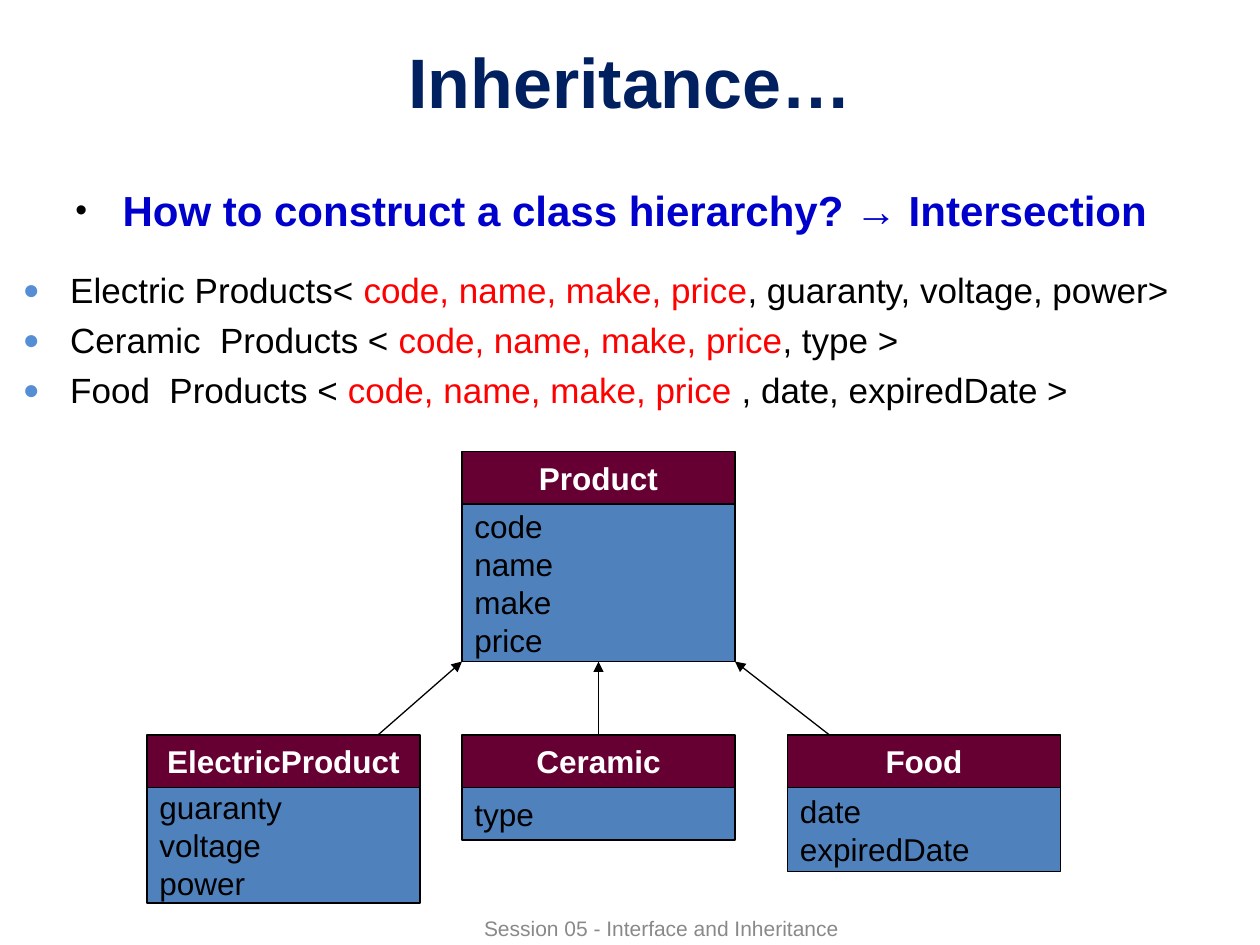
import pptx
import pptx.util
import pptx.dml.color
import pptx.enum.shapes
import pptx.enum.text
import pptx.oxml
from lxml import etree

PX = 7620  # 120 px to the inch
ALIGN = pptx.enum.text.PP_ALIGN
ANCHOR = pptx.enum.text.MSO_ANCHOR
NS = "http://schemas.openxmlformats.org/drawingml/2006/main"


def tint(code):
    return pptx.dml.color.RGBColor.from_string(code)


def write(frame, paras, size, align, anchor, bold=False, gap=0, mark=None):
    """Fill a frame; each paragraph is a list of (text, colour) runs."""
    frame.word_wrap = True
    frame.auto_size = pptx.enum.text.MSO_AUTO_SIZE.NONE
    frame.vertical_anchor = anchor
    for i, runs in enumerate(paras):
        para = frame.add_paragraph() if i else frame.paragraphs[0]
        para.alignment = align
        para.space_before = pptx.util.Pt(gap)
        for text, color in runs:
            run = para.add_run()
            run.text = text
            look = {"name": "Arial", "size": pptx.util.Pt(size), "bold": bold}
            for key, val in look.items():
                setattr(run.font, key, val)
            run.font.color.rgb = tint(color)
        if mark:
            char, hue = mark
            props = para._p.get_or_add_pPr()
            props.set("marL", str(45 * PX))
            props.set("indent", str(-45 * PX))
            color = etree.SubElement(props, f"{{{NS}}}buClr")
            etree.SubElement(color, f"{{{NS}}}srgbClr", val=hue)
            etree.SubElement(props, f"{{{NS}}}buSzPct", val="80000")
            etree.SubElement(props, f"{{{NS}}}buFont", typeface="Arial")
            etree.SubElement(props, f"{{{NS}}}buChar", char=char)


deck = pptx.Presentation()
deck.slide_width, deck.slide_height = 1200 * PX, 900 * PX
slide = deck.slides.add_slide(deck.slide_layouts[5])
shapes = slide.shapes

# Title
title = shapes.title
place = {"left": 60, "top": 30, "width": 1080, "height": 94}
for key, val in place.items():
    setattr(title, key, val * PX)
write(title.text_frame, [[("Inheritance…", "002060")]], 40,
      ALIGN.CENTER, ANCHOR.MIDDLE, bold=True)

# Question, product lists and footer
head = [[("How to construct a class hierarchy? → Intersection", "0000CC")]]
lists = [
    ("Electric Products< ", "code, name, make, price",
     ", guaranty, voltage, power>"),
    ("Ceramic  Products < ", "code, name, make, price", ", type >"),
    ("Food  Products <", " code, name, make, price",
     " , date, expiredDate >"),
]
items = [list(zip(row, ("000000", "FF0000", "000000"))) for row in lists]
foot = [[("Session 05 - Interface and Inheritance", "898989")]]
texts = [
    ((60, 170, 1080, 70), head, dict(
        size=24, align=ALIGN.JUSTIFY, anchor=ANCHOR.TOP, bold=True,
        gap=5.5, mark=("•", "000000"))),
    ((10, 250, 1170, 160), items, dict(
        size=20, align=ALIGN.LEFT, anchor=ANCHOR.TOP,
        gap=4.6, mark=("●", "558ED5"))),
    ((270, 868, 720, 32), foot, dict(
        size=12, align=ALIGN.CENTER, anchor=ANCHOR.MIDDLE)),
]
for spot, paras, style in texts:
    box = shapes.add_textbox(*(n * PX for n in spot))
    write(box.text_frame, paras, **style)

# Class boxes: a name bar above a field list
WIDE, BAR = 260, 50
kinds = [
    ("Product", 440, 430, 150, ["code", "name", "make", "price"]),
    ("ElectricProduct", 140, 700, 110, ["guaranty", "voltage", "power"]),
    ("Ceramic", 440, 700, 50, ["type"]),
    ("Food", 750, 700, 80, ["date", "expiredDate"]),
]
bars, bodies = {}, {}
for name, x, y, tall, fields in kinds:
    parts = [
        (bars, y, BAR, [name], "660033", "FFFFFF", ALIGN.CENTER, True),
        (bodies, y + BAR, tall, fields, "4F81BD", "000000", ALIGN.LEFT, False),
    ]
    for store, top, high, words, fill, ink, align, bold in parts:
        rect = shapes.add_shape(pptx.enum.shapes.MSO_SHAPE.RECTANGLE,
                                x * PX, top * PX, WIDE * PX, high * PX)
        rect.shadow.inherit = False
        rect.fill.solid()
        rect.fill.fore_color.rgb = tint(fill)
        rect.line.color.rgb = tint("000000")
        rect.line.width = pptx.util.Pt(0.75)
        write(rect.text_frame, [[(word, ink)] for word in words], 18,
              align, ANCHOR.MIDDLE, bold)
        store[name] = rect

# Arrows from each subclass up to Product
for name, start, end in [("ElectricProduct", 360, 440),
                         ("Ceramic", 570, 570), ("Food", 790, 700)]:
    line = shapes.add_connector(pptx.enum.shapes.MSO_CONNECTOR.STRAIGHT,
                                start * PX, 700 * PX, end * PX, 630 * PX)
    if name == "Ceramic":
        line.begin_connect(bars[name], 0)
        line.end_connect(bodies["Product"], 2)
    line.line.color.rgb = tint("000000")
    line.line.width = pptx.util.Pt(0.75)
    etree.SubElement(line.line._get_or_add_ln(), f"{{{NS}}}tailEnd",
                     type="triangle")
    etree.SubElement(line._element.spPr, f"{{{NS}}}effectLst")

deck.save("out.pptx")
